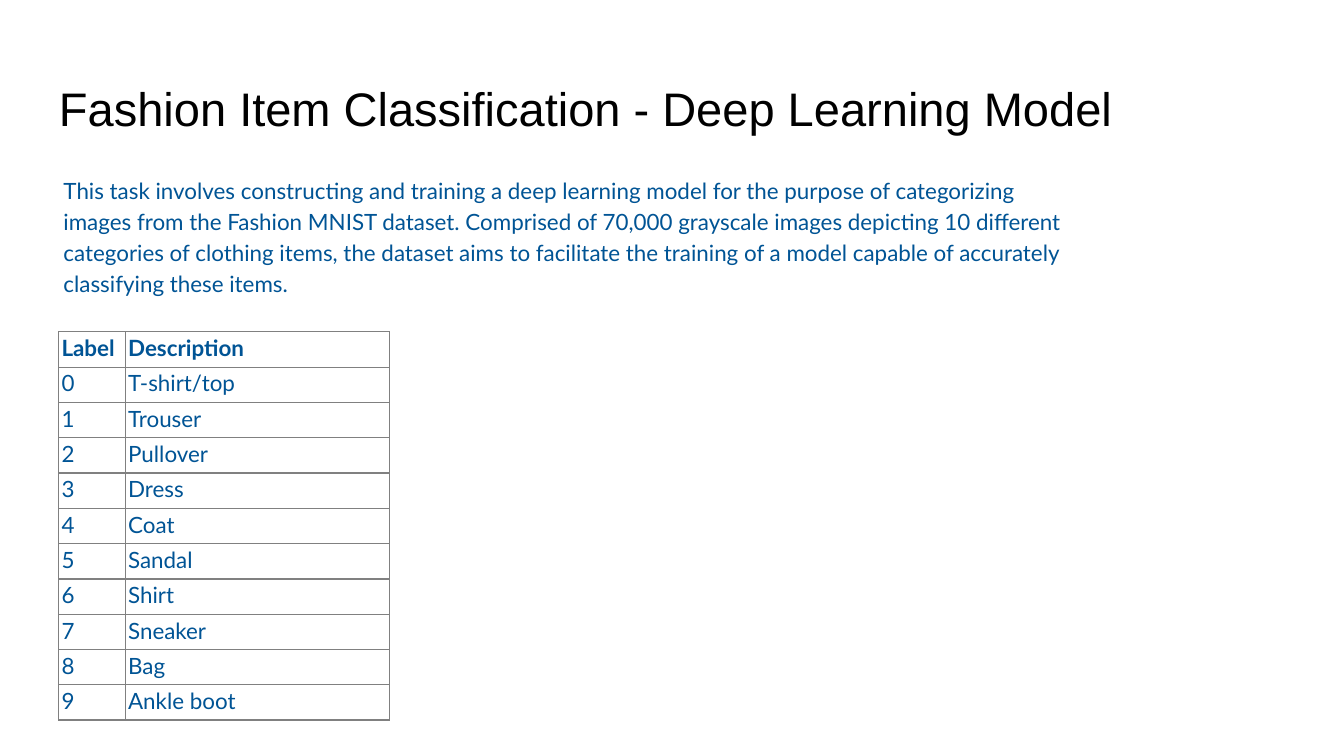
from lxml import etree
from pptx import Presentation
from pptx.dml.color import RGBColor
from pptx.enum.text import MSO_ANCHOR
from pptx.oxml.ns import qn
from pptx.util import Inches, Pt

TOP = MSO_ANCHOR.TOP
MIDDLE = MSO_ANCHOR.MIDDLE
BORDER_SIDES = ("a:lnL", "a:lnR", "a:lnT", "a:lnB")
COLORS = {"title": "000000", "body": "005495", "border": "808080", "cell": "FFFFFF"}
CATEGORIES = ["T-shirt/top", "Trouser", "Pullover", "Dress", "Coat",
              "Sandal", "Shirt", "Sneaker", "Bag", "Ankle boot"]
SUMMARY = (
    "This task involves constructing and training a deep learning model for the purpose of "
    "categorizing images from the Fashion MNIST dataset. Comprised of 70,000 grayscale images "
    "depicting 10 different categories of clothing items, the dataset aims to facilitate the "
    "training of a model capable of accurately classifying these items."
)


class SlideBuilder:
    text_inset = Inches(0.1)
    cell_inset = Inches(0.02)
    border_width = Pt(0.75)
    body_size = 12

    def __init__(self, deck):
        self.width, self.height = deck.slide_width, deck.slide_height
        self.slide = deck.slides.add_slide(deck.slide_layouts[6])

    def place(self, left, top, width, height):
        return (int(self.width * left / 100), int(self.height * top / 100),
                int(self.width * width / 100), int(self.height * height / 100))

    def style(self, paragraph, font_name, size, color, bold=False):
        for run in paragraph.runs:
            run.font.name = font_name
            run.font.size = Pt(size)
            run.font.bold = bold
            run.font.color.rgb = RGBColor.from_string(COLORS[color])

    def text(self, wording, area, font_name, size, color, anchor=TOP):
        frame = self.slide.shapes.add_textbox(*self.place(*area)).text_frame
        frame.word_wrap = True
        frame.vertical_anchor = anchor
        frame.margin_left = frame.margin_right = self.text_inset
        frame.margin_top = frame.margin_bottom = self.text_inset
        frame.text = wording
        paragraph = frame.paragraphs[0]
        self.style(paragraph, font_name, size, color)
        return paragraph

    def borders(self, cell):
        properties = cell._tc.get_or_add_tcPr()
        for position, side in enumerate(BORDER_SIDES):
            line = etree.Element(qn(side), w=str(self.border_width))
            fill = etree.SubElement(line, qn("a:solidFill"))
            etree.SubElement(fill, qn("a:srgbClr"), val=COLORS["border"])
            properties.insert(position, line)

    def cell(self, cell, wording, bold):
        cell.margin_left = cell.margin_right = self.cell_inset
        cell.margin_top = cell.margin_bottom = self.cell_inset
        cell.vertical_anchor = TOP
        cell.fill.solid()
        cell.fill.fore_color.rgb = RGBColor.from_string(COLORS["cell"])
        cell.text = wording
        self.style(cell.text_frame.paragraphs[0], "Lato", self.body_size, "body", bold)
        self.borders(cell)

    def table(self, rows, left, top, column_shares, height):
        area = self.place(left, top, sum(column_shares), height)
        table = self.slide.shapes.add_table(len(rows), len(column_shares), *area).table
        for column, share in zip(table.columns, column_shares):
            column.width = int(self.width * share / 100)
        for row_index, row in enumerate(rows):
            for column_index, wording in enumerate(row):
                self.cell(table.cell(row_index, column_index), wording, row_index == 0)


def main():
    deck = Presentation()
    deck.slide_width = Inches(10)
    deck.slide_height = deck.slide_width * 9 // 16
    builder = SlideBuilder(deck)

    builder.text("Fashion Item Classification - Deep Learning Model",
                 (3.41, 8.65, 93.18, 11.14), "Arial", 25.2, "title", MIDDLE)

    summary = builder.text(SUMMARY, (3.74, 21.15, 77.2, 23.84), "Lato",
                           builder.body_size, "body")
    summary.line_spacing = 1.15
    summary.space_before = summary.space_after = Pt(9)

    labels = [(str(label), category) for label, category in enumerate(CATEGORIES)]
    builder.table([("Label", "Description")] + labels, 4.38, 43.9, (4.96, 19.64), 51.4)

    deck.save("out.pptx")


if __name__ == "__main__":
    main()
